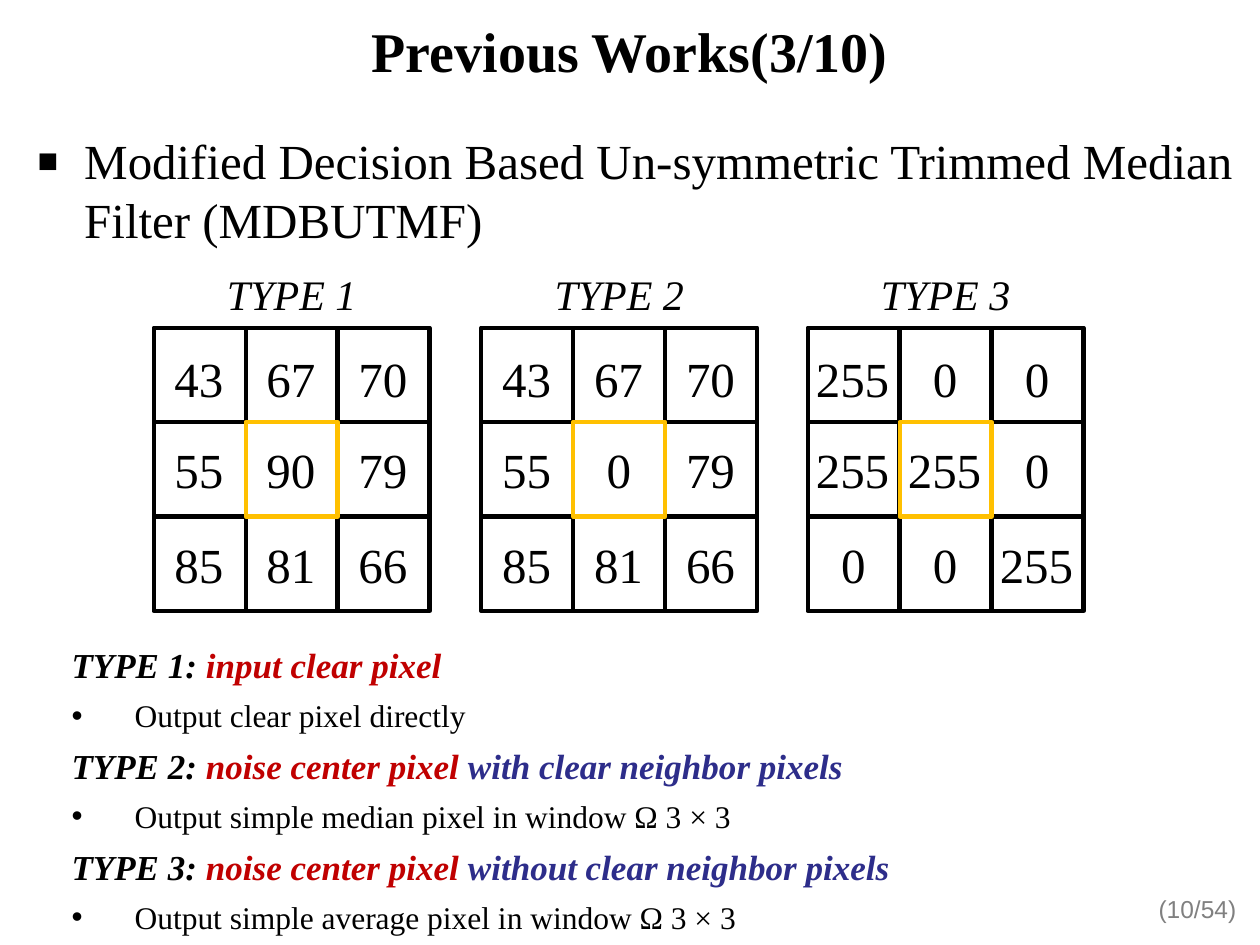
from dataclasses import dataclass

from lxml.etree import SubElement
from pptx import Presentation
from pptx.dml.color import RGBColor
from pptx.enum.shapes import MSO_SHAPE
from pptx.enum.text import MSO_ANCHOR, PP_ALIGN
from pptx.oxml.ns import qn
from pptx.util import Inches, Pt


@dataclass(frozen=True)
class Theme:
    serif: str = "Times New Roman"
    sans: str = "Arial"
    black: str = "000000"
    red: str = "C00000"
    blue: str = "2D2D8A"
    gold: str = "FFC000"
    gray: str = "808080"
    title: int = 32
    body: int = 28
    caption: int = 24
    heading: int = 20
    detail: int = 18
    page: int = 14
    border: float = 2.38


THEME = Theme()
CELL_WIDTH, CELL_HEIGHT = 0.73, 0.75
DIGIT_WIDTH, DIGIT_HEIGHT = 0.2, 0.47
ROW_TEXT_OFFSETS = (0.17, 0.89, 1.64)

WINDOWS = [
    ("TYPE 1", 1.22, [[43, 67, 70], [55, 90, 79], [85, 81, 66]]),
    ("TYPE 2", 3.82, [[43, 67, 70], [55, 0, 79], [85, 81, 66]]),
    ("TYPE 3", 6.41, [[255, 0, 0], [255, 255, 0], [0, 0, 255]]),
]

RULES = [
    ("TYPE 1: ", "input clear pixel", "", "Output clear pixel directly"),
    ("TYPE 2: ", "noise center pixel ", "with clear neighbor pixels",
     "Output simple median pixel in window Ω 3 × 3"),
    ("TYPE 3: ", "noise center pixel ", "without clear neighbor pixels",
     "Output simple average pixel in window Ω 3 × 3"),
]


def add_frame(shapes, box, anchor=MSO_ANCHOR.TOP, wrap=True):
    frame = shapes.add_textbox(*map(Inches, box)).text_frame
    frame.word_wrap = wrap
    frame.vertical_anchor = anchor
    return frame


def add_run(paragraph, text, size, color=THEME.black, font=THEME.serif,
            bold=False, italic=False):
    run = paragraph.add_run()
    run.text = text
    run.font.name = font
    run.font.size = Pt(size)
    run.font.bold = bold
    run.font.italic = italic
    run.font.color.rgb = RGBColor.from_string(color)


def add_bullet(paragraph, mark, indent, percent=100):
    properties = paragraph._p.get_or_add_pPr()
    properties.set("marL", str(Inches(indent)))
    properties.set("indent", str(-Inches(indent)))
    SubElement(properties, qn("a:buSzPct"), val=str(percent * 1000))
    SubElement(properties, qn("a:buFont"), typeface=THEME.sans)
    SubElement(properties, qn("a:buChar"), char=mark)


def add_title(slide, box):
    heading = add_frame(slide.shapes, box, MSO_ANCHOR.MIDDLE).paragraphs[0]
    heading.alignment = PP_ALIGN.CENTER
    add_run(heading, "Previous Works(3/10)", THEME.title, bold=True)


def add_topic(slide, box):
    topic = add_frame(slide.shapes, box).paragraphs[0]
    add_bullet(topic, "■", 0.37, 70)
    add_run(topic, "Modified Decision Based Un-symmetric Trimmed "
            "Median Filter (MDBUTMF)", THEME.body)


def add_cell(shapes, left, top, color):
    cell = shapes.add_shape(MSO_SHAPE.RECTANGLE, Inches(left), Inches(top),
                            Inches(CELL_WIDTH), Inches(CELL_HEIGHT))
    cell.shadow.inherit = False
    cell.fill.background()
    cell.line.color.rgb = RGBColor.from_string(color)
    cell.line.width = Pt(THEME.border)


def add_pixel(shapes, value, center, top):
    width = DIGIT_WIDTH * len(str(value))
    box = (center - width / 2, top, width, DIGIT_HEIGHT)
    frame = add_frame(shapes, box, wrap=False)
    frame.margin_left = frame.margin_right = 0
    frame.margin_top = frame.margin_bottom = 0
    add_run(frame.paragraphs[0], str(value), THEME.body)


def add_window(slide, box, caption, pixels):
    left, top, width, caption_height = box
    label = add_frame(slide.shapes, box).paragraphs[0]
    label.alignment = PP_ALIGN.CENTER
    add_run(label, caption, THEME.caption, italic=True)

    grid_top = top + caption_height
    grid = slide.shapes.add_group_shape().shapes
    for row, values in enumerate(pixels):
        for column, value in enumerate(values):
            cell_left = left + column * CELL_WIDTH
            if (row, column) != (1, 1):
                add_cell(grid, cell_left, grid_top + row * CELL_HEIGHT, THEME.black)
            add_pixel(grid, value, cell_left + CELL_WIDTH / 2,
                      grid_top + ROW_TEXT_OFFSETS[row])
    add_cell(grid, left + CELL_WIDTH, grid_top + CELL_HEIGHT, THEME.gold)


def add_rules(slide, box):
    frame = add_frame(slide.shapes, box)
    for number, (label, center, neighbors, output) in enumerate(RULES):
        heading = frame.add_paragraph() if number else frame.paragraphs[0]
        heading.space_after = Pt(6)
        parts = [(label, THEME.black), (center, THEME.red), (neighbors, THEME.blue)]
        for text, color in parts:
            if text:
                add_run(heading, text, THEME.heading, color, bold=True, italic=True)
        detail = frame.add_paragraph()
        detail.space_after = Pt(6)
        add_bullet(detail, "•", 0.5)
        add_run(detail, output, THEME.detail)


def add_page_number(slide, box):
    page = add_frame(slide.shapes, box, MSO_ANCHOR.MIDDLE).paragraphs[0]
    page.alignment = PP_ALIGN.RIGHT
    add_run(page, "(10/54)", THEME.page, THEME.gray, THEME.sans)


def main():
    presentation = Presentation()
    presentation.slide_width = Inches(10)
    presentation.slide_height = Inches(7.5)
    slide = presentation.slides.add_slide(presentation.slide_layouts[6])
    add_page_number(slide, (9.02, 6.95, 0.89, 0.52))
    add_topic(slide, (0.2, 0.99, 9.69, 5.82))
    for caption, left, pixels in WINDOWS:
        add_window(slide, (left, 2.08, 3 * CELL_WIDTH, 0.52), caption, pixels)
    add_rules(slide, (0.47, 5.06, 9.06, 2.47))
    add_title(slide, (0, 0, 10, 0.79))
    presentation.save("out.pptx")


if __name__ == "__main__":
    main()
